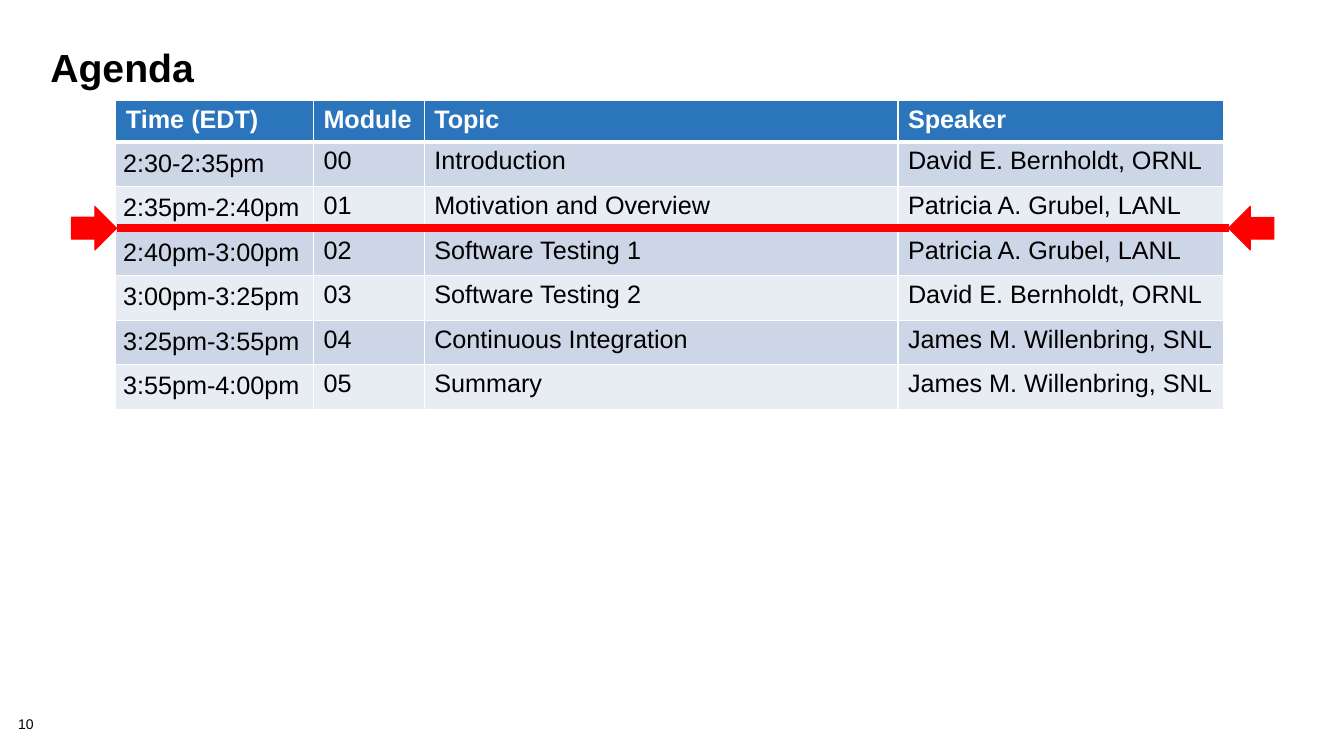
from pptx import Presentation
from pptx.dml.color import RGBColor
from pptx.enum.shapes import MSO_CONNECTOR as Connector, MSO_SHAPE as Shape
from pptx.oxml import parse_xml
from pptx.oxml.ns import nsdecls
from pptx.util import Cm, Pt

BLACK = RGBColor(0x00, 0x00, 0x00)
WHITE = RGBColor(0xFF, 0xFF, 0xFF)
RED = RGBColor(0xFF, 0x00, 0x00)
HEADER_BLUE = RGBColor(0x2A, 0x75, 0xBB)
BAND_DARK = RGBColor(0xCD, 0xD6, 0xE7)
BAND_LIGHT = RGBColor(0xE8, 0xEC, 0xF3)

COLUMN_WIDTHS = (4.98, 2.79, 11.94, 8.2)
ROW_HEIGHT = 1.04
AGENDA = [
    ("Time (EDT)", "Module", "Topic", "Speaker"),
    ("2:30-2:35pm", "00", "Introduction", "David E. Bernholdt, ORNL"),
    ("2:35pm-2:40pm", "01", "Motivation and Overview", "Patricia A. Grubel, LANL"),
    ("2:40pm-3:00pm", "02", "Software Testing 1", "Patricia A. Grubel, LANL"),
    ("3:00pm-3:25pm", "03", "Software Testing 2", "David E. Bernholdt, ORNL"),
    ("3:25pm-3:55pm", "04", "Continuous Integration", "James M. Willenbring, SNL"),
    ("3:55pm-4:00pm", "05", "Summary", "James M. Willenbring, SNL"),
]


def set_all(target, **values):
    for name, value in values.items():
        setattr(target, name, value)


def set_margins(target, x, y):
    set_all(target, margin_left=Cm(x), margin_right=Cm(x),
            margin_top=Cm(y), margin_bottom=Cm(y))


class AgendaSlide:
    font = "Arial"

    def __init__(self, prs):
        self.s = prs.slides.add_slide(prs.slide_layouts[6])

    def add_run(self, p, text, size, color=BLACK, bold=False):
        r = p.add_run()
        r.text = text
        set_all(r.font, name=self.font, size=Pt(size), bold=bold)
        r.font.color.rgb = color

    def text(self, text, box, size, spacing, margins=(0, 0), bold=False):
        tf = self.s.shapes.add_textbox(*map(Cm, box)).text_frame
        tf.word_wrap = True
        set_margins(tf, *margins)
        p = tf.paragraphs[0]
        p.line_spacing = spacing
        self.add_run(p, text, size, bold=bold)

    def borders(self, cell, bottom):
        """Draw white cell borders, with the bottom one in its own width."""
        tc_pr = cell._tc.get_or_add_tcPr()
        for i, (side, width) in enumerate(zip("LRTB", (1, 1, 1, bottom))):
            tc_pr.insert(i, parse_xml(
                f'<a:ln{side} {nsdecls("a")} w="{Pt(width)}"><a:solidFill>'
                f'<a:srgbClr val="{WHITE}"/></a:solidFill></a:ln{side}>'))

    def table(self, rows, left, top):
        size = sum(COLUMN_WIDTHS), ROW_HEIGHT * len(rows)
        table = self.s.shapes.add_table(
            len(rows), len(COLUMN_WIDTHS), *map(Cm, (left, top, *size))).table
        for column, width in zip(table.columns, COLUMN_WIDTHS):
            column.width = Cm(width)
        for i, row in enumerate(rows):
            table.rows[i].height = Cm(ROW_HEIGHT)
            header = i == 0
            fill = HEADER_BLUE if header else (BAND_LIGHT, BAND_DARK)[i % 2]
            for j, text in enumerate(row):
                cell = table.cell(i, j)
                cell.fill.solid()
                cell.fill.fore_color.rgb = fill
                if j == 0 and not header:
                    set_margins(cell, 0.18, 0.18)
                self.borders(cell, bottom=3 if header else 1)
                self.add_run(cell.text_frame.paragraphs[0], text, 18,
                             WHITE if header else BLACK, header)

    def line(self, x1, x2, y):
        sp = self.s.shapes.add_connector(
            Connector.STRAIGHT, *map(Cm, (x1, y, x2, y)))
        sp.line.color.rgb = RED
        sp.line.width = Pt(6)
        sp._element.spPr.append(parse_xml(f'<a:effectLst {nsdecls("a")}/>'))

    def arrow(self, left, y, rotation=0):
        """Add a block arrow centred on height y."""
        width, height = 1.14, 1.1
        sp = self.s.shapes.add_shape(
            Shape.RIGHT_ARROW, *map(Cm, (left, y - height / 2, width, height)))
        sp.rotation = rotation
        sp.shadow.inherit = False
        sp.fill.solid()
        sp.fill.fore_color.rgb = RED
        sp.line.color.rgb = RED
        sp.line.width = Pt(0.75)


def main():
    prs = Presentation()
    set_all(prs, slide_width=Cm(33.87), slide_height=Cm(19.05))
    slide = AgendaSlide(prs)
    slide.text("10", (0.46, 18.08, 1.42, 0.41), 10, 0.9)
    slide.text("Agenda", (1.02, 1.14, 31.6, 2.54), 28, 0.85, (0.25, 0.13), True)
    slide.table(AGENDA, 2.92, 2.54)
    marker_y = 5.75
    slide.line(2.95, 30.96, marker_y)
    slide.arrow(1.8, marker_y)
    slide.arrow(30.96, marker_y, 180)
    prs.save("out.pptx")


if __name__ == "__main__":
    main()
